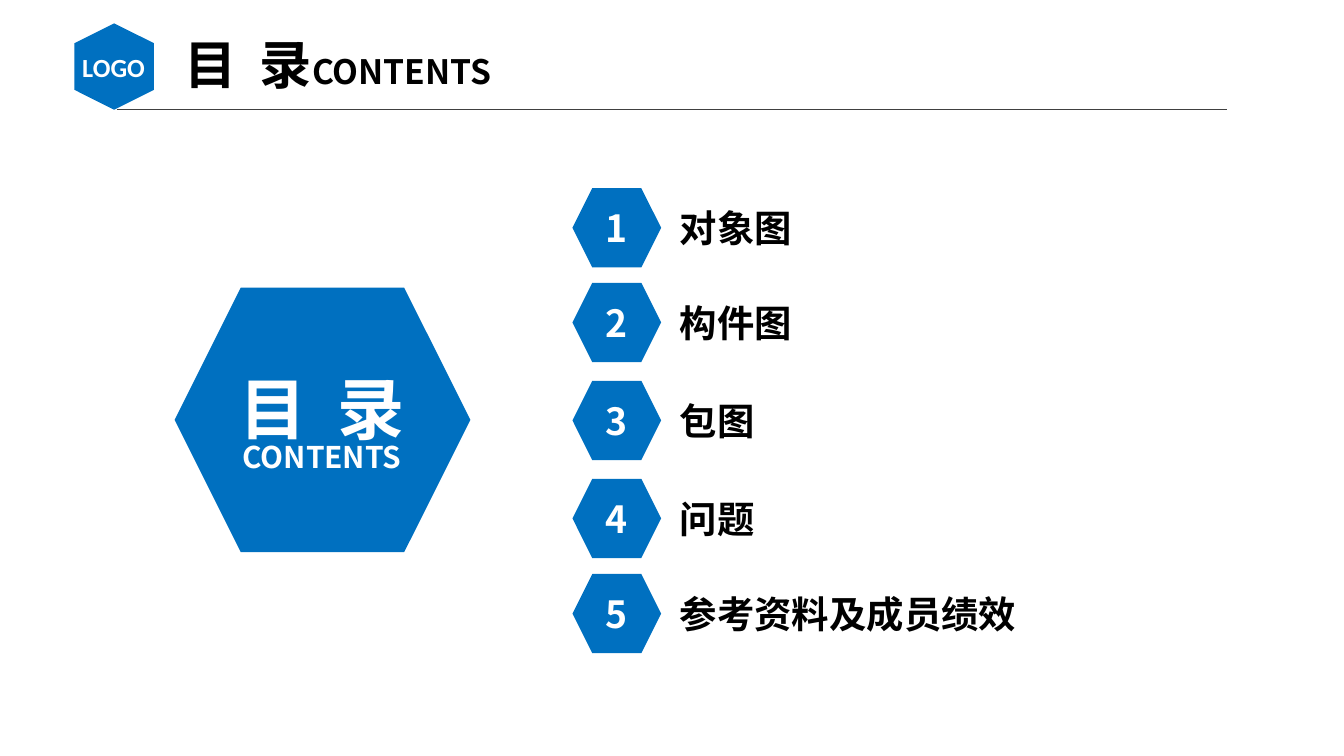
from pptx import Presentation
from pptx import util as u
from pptx.dml.color import RGBColor
from pptx.enum import shapes, text
from pptx.oxml.ns import qn
from lxml import etree

HEADING = ("目  录", "CONTENTS")
LOGO = "LOGO"
ITEMS = [
    ("对象图", 100.8),
    ("构件图", 151.5),
    ("包图", 204),
    ("问题", 256.5),
    ("参考资料及成员绩效", 307.5),
]

THEME = {
    "blue": "0070C0", "black": "000000", "white": "FFFFFF", "rule": "404040",
    "cjk": "Noto Sans CJK SC", "latin": "Calibri",
    "title": 28, "subtitle": 18, "hero": 36, "hero_sub": 16,
    "item": 20, "logo": 14,
}
BADGE_X, BADGE_W, BADGE_H = 306.7, 47.5, 42.5
NUMBER_W, ROW_H = 22.3, 31.7
LABEL_X, LABEL_W = 357.1, 263.5


def rgb(name):
    return RGBColor.from_string(THEME[name])


def place(sp, box):
    sp.left, sp.top, sp.width, sp.height = [u.Pt(v) for v in box]


def style(r, size, color, font="cjk"):
    f = r.font
    f.name, f.size, f.bold = THEME[font], u.Pt(THEME[size]), True
    f.color.rgb = rgb(color)
    ea = etree.SubElement(r._r.get_or_add_rPr(), qn("a:ea"))
    ea.set("typeface", THEME[font])


def frame(sp, align, wrap=True):
    tf = sp.text_frame
    tf.auto_size = text.MSO_AUTO_SIZE.NONE
    tf.word_wrap = wrap
    tf.vertical_anchor = text.MSO_ANCHOR.MIDDLE
    for p in tf.paragraphs:
        p.alignment = align
    return tf


def add_shape(s, kind, box):
    sp = s.shapes.add_shape(kind, *[u.Pt(v) for v in box])
    sp.shadow.inherit = False
    sp.fill.solid()
    sp.fill.fore_color.rgb = rgb("blue")
    sp.line.fill.background()
    return sp


def write(sp, lines, sizes, color, align, font="cjk", wrap=True):
    sp.text_frame.text = "\n".join(lines)
    tf = frame(sp, align, wrap)
    for p, size in zip(tf.paragraphs, sizes):
        style(p.runs[0], size, color, font)
    return tf


def add_text(s, box, *args, **kwargs):
    sp = s.shapes.add_textbox(*[u.Pt(v) for v in box])
    return write(sp, *args, **kwargs)


def add_header(s):
    ln = s.shapes.add_connector(shapes.MSO_CONNECTOR.STRAIGHT,
                                u.Pt(62.6), u.Pt(58.8), u.Pt(657.4), u.Pt(58.8))
    ln.line.color.rgb = rgb("rule")
    ln.line.width = u.Pt(0.75)
    etree.SubElement(ln._element.spPr, qn("a:effectLst"))

    logo = add_shape(s, shapes.MSO_SHAPE.HEXAGON, (38, 14.3, 46.3, 42.7))
    logo.rotation = 90
    add_text(s, (35.3, 23.8, 51.1, 24.5), [LOGO], ["logo"], "white",
             text.PP_ALIGN.CENTER, font="latin", wrap=False)

    title = s.shapes.title
    place(title, (91.4, 13.7, 206.6, 41))
    p = title.text_frame.paragraphs[0]
    for words, size in zip(HEADING, ("title", "subtitle")):
        r = p.add_run()
        r.text = words
        style(r, size, "black")
    frame(title, text.PP_ALIGN.LEFT)


def add_hero(s):
    add_shape(s, shapes.MSO_SHAPE.HEXAGON, (93.6, 154.1, 158.4, 141.8))
    tf = add_text(s, (110.2, 190.1, 124.6, 70.6), HEADING, ["hero", "hero_sub"],
                  "white", text.PP_ALIGN.CENTER)
    tf.paragraphs[1].line_spacing = 0.72


def add_items(s):
    center = text.PP_ALIGN.CENTER
    for n, (label, top) in enumerate(ITEMS, 1):
        row_y = top + (BADGE_H - ROW_H) / 2
        number_x = BADGE_X + (BADGE_W - NUMBER_W) / 2
        add_shape(s, shapes.MSO_SHAPE.HEXAGON, (BADGE_X, top, BADGE_W, BADGE_H))
        number = add_shape(s, shapes.MSO_SHAPE.RECTANGLE,
                           (number_x, row_y, NUMBER_W, ROW_H))
        write(number, [str(n)], ["item"], "white", center, wrap=False)
        add_text(s, (LABEL_X, row_y, LABEL_W, ROW_H), [label], ["item"],
                 "black", text.PP_ALIGN.LEFT)


def main():
    prs = Presentation()
    prs.slide_width, prs.slide_height = u.Pt(720), u.Pt(405)
    s = prs.slides.add_slide(prs.slide_layouts[5])
    add_header(s)
    add_hero(s)
    add_items(s)
    prs.save("out.pptx")


if __name__ == "__main__":
    main()
